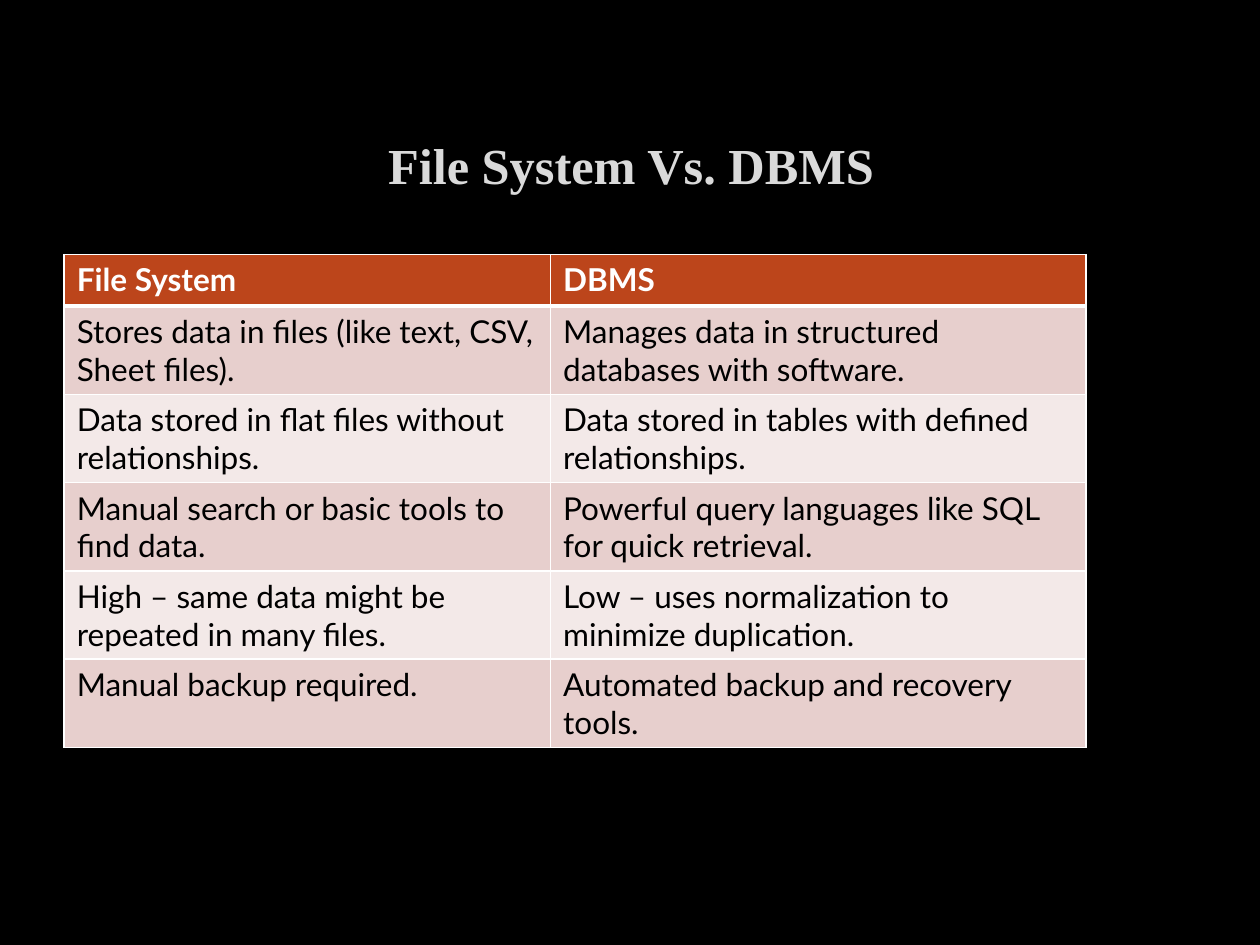
from lxml import etree
from pptx import Presentation
from pptx.dml.color import RGBColor
from pptx.enum.text import MSO_ANCHOR, PP_ALIGN
from pptx.oxml import parse_xml
from pptx.oxml.ns import nsdecls, qn
from pptx.util import Inches, Pt

TITLE = "File System Vs. DBMS"
ROWS = [
    ("File System", "DBMS"),
    ("Stores data in files (like text, CSV, Sheet files).",
     "Manages data in structured databases with software."),
    ("Data stored in flat files without relationships.",
     "Data stored in tables with defined relationships."),
    ("Manual search or basic tools to find data.",
     "Powerful query languages like SQL for quick retrieval."),
    ("High – same data might be repeated in many files.",
     "Low – uses normalization to minimize duplication."),
    ("Manual backup required.", "Automated backup and recovery tools."),
]
COLUMN_WIDTHS = (3.86, 4.25)
HEADER_HEIGHT, BODY_HEIGHT = 0.41, 0.7
LEFT, TABLE_TOP = 0.51, 2.02
HEADER_FILL, BODY_FILLS = "BC451B", ("F3E9E8", "E7CFCD")
TITLE_FONT = {"name": "Times New Roman", "size": Pt(28.8), "bold": True}
HEADER_FONT = {"name": "Lato", "size": Pt(18), "bold": True}
BODY_FONT = {**HEADER_FONT, "bold": False}


def rgb(value):
    return RGBColor.from_string(value)


def format_font(font, values, color):
    for name, value in values.items():
        setattr(font, name, value)
    font.color.rgb = rgb(color)


def add_title(slide):
    box = slide.shapes.add_textbox(Inches(LEFT), Inches(0.99), Inches(9), Inches(0.63))
    frame = box.text_frame
    frame.word_wrap = True
    frame.vertical_anchor = MSO_ANCHOR.MIDDLE
    paragraph = frame.paragraphs[0]
    paragraph.alignment = PP_ALIGN.CENTER
    run = paragraph.add_run()
    run.text = TITLE
    format_font(run.font, TITLE_FONT, "DADADA")
    outline = parse_xml(
        f'<a:ln {nsdecls("a")} w="{Pt(0.75)}"><a:solidFill><a:srgbClr val="404040">'
        '<a:alpha val="10000"/></a:srgbClr></a:solidFill></a:ln>')
    run._r.get_or_add_rPr().insert(0, outline)


def set_borders(cell, widths):
    """Draw white borders; widths maps each side (L, R, T, B) to points."""
    properties = cell._tc.get_or_add_tcPr()
    for index, (side, width) in enumerate(widths.items()):
        line = etree.Element(qn(f"a:ln{side}"), w=str(Pt(width)))
        fill = etree.SubElement(line, qn("a:solidFill"))
        etree.SubElement(fill, qn("a:srgbClr"), val="FFFFFF")
        properties.insert(index, line)


def add_comparison(slide):
    heights = [HEADER_HEIGHT] + [BODY_HEIGHT] * (len(ROWS) - 1)
    table = slide.shapes.add_table(
        len(ROWS), len(COLUMN_WIDTHS), Inches(LEFT), Inches(TABLE_TOP),
        Inches(sum(COLUMN_WIDTHS)), Inches(sum(heights))).table
    for column, width in zip(table.columns, COLUMN_WIDTHS):
        column.width = Inches(width)
    for index, (texts, height) in enumerate(zip(ROWS, heights)):
        row = table.rows[index]
        row.height = Inches(height)
        header = index == 0
        for cell, text in zip(row.cells, texts):
            cell.text = text
            format_font(cell.text_frame.paragraphs[0].runs[0].font,
                        HEADER_FONT if header else BODY_FONT,
                        "FFFFFF" if header else "000000")
            cell.fill.solid()
            cell.fill.fore_color.rgb = rgb(HEADER_FILL if header else BODY_FILLS[index % 2])
            set_borders(cell, {"L": 1, "R": 1, "T": 3 if index == 1 else 1,
                               "B": 3 if header else 1})


def main():
    presentation = Presentation()
    presentation.slide_width, presentation.slide_height = Inches(10), Inches(7.5)
    slide = presentation.slides.add_slide(presentation.slide_layouts[6])
    slide.background.fill.solid()
    slide.background.fill.fore_color.rgb = rgb("000000")
    add_title(slide)
    add_comparison(slide)
    presentation.save("out.pptx")


if __name__ == "__main__":
    main()
